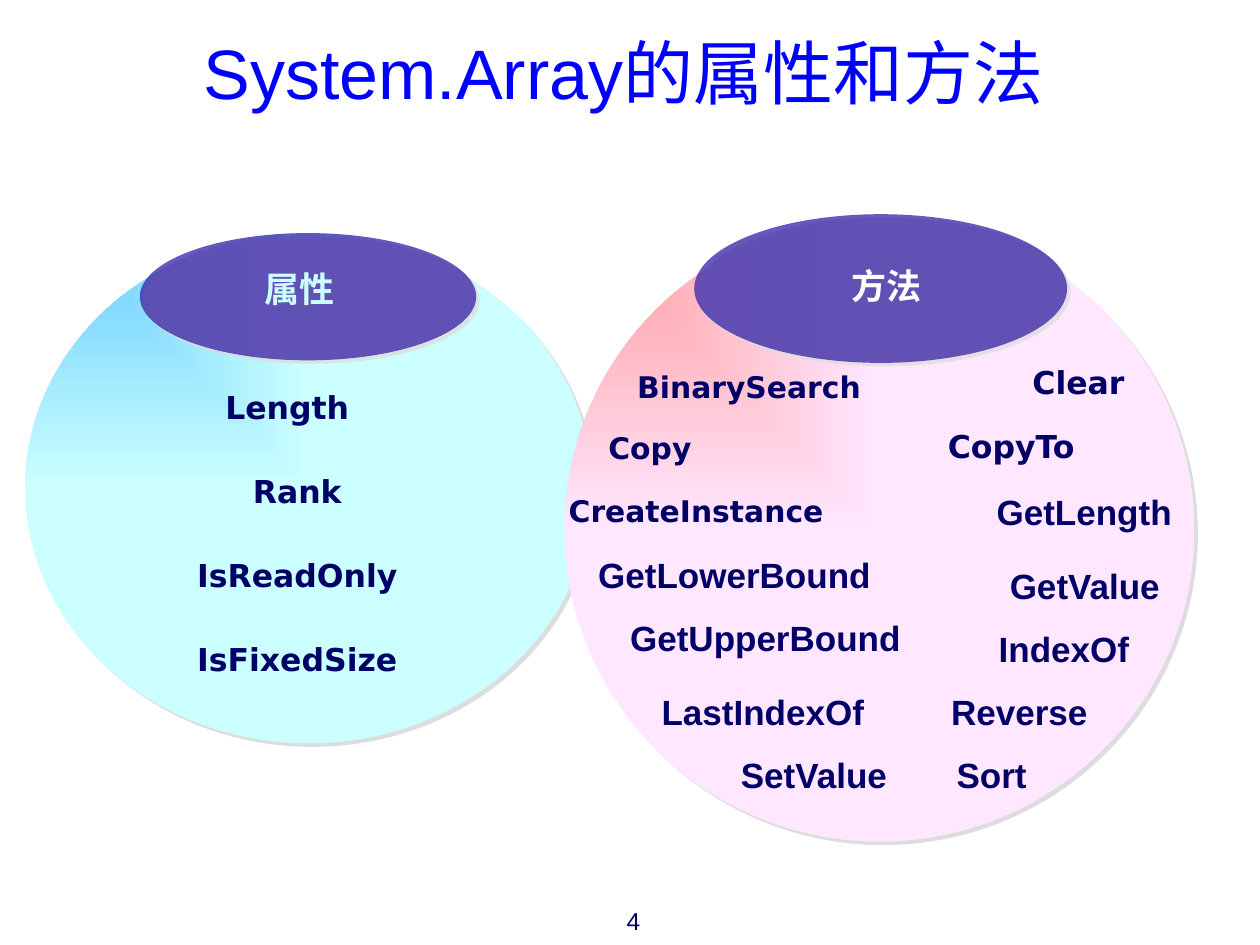
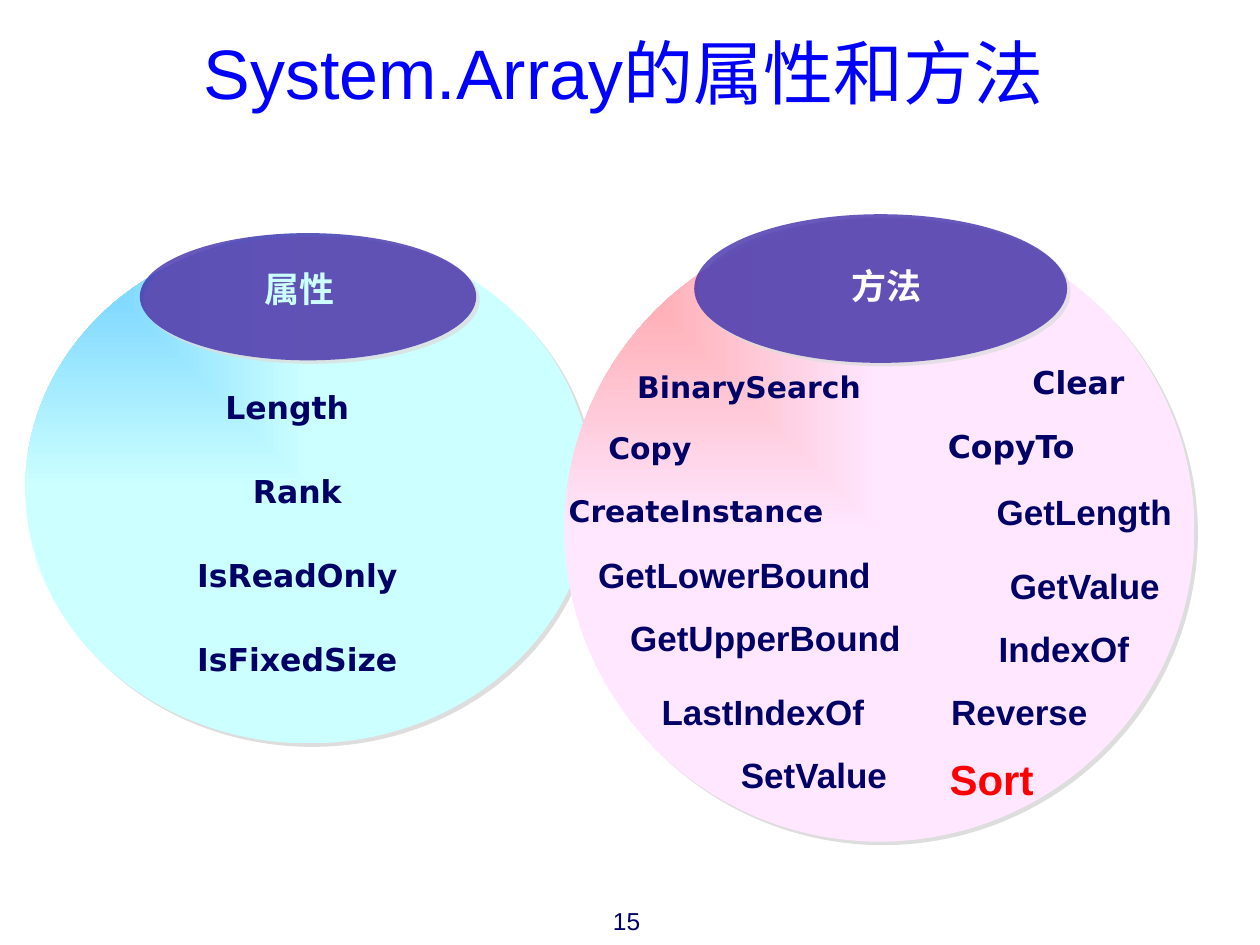
from dataclasses import dataclass
from typing import NamedTuple

from lxml.etree import SubElement
from pptx import Presentation
from pptx.dml.color import RGBColor
from pptx.enum.shapes import MSO_SHAPE as Shape
from pptx.enum.text import MSO_ANCHOR as Anchor, MSO_AUTO_SIZE as AutoSize, PP_ALIGN as Align
from pptx.oxml.ns import qn
from pptx.util import Inches, Pt


@dataclass(frozen=True)
class Theme:
    title: str = "0000FF"
    ink: str = "000066"
    highlight: str = "FF0000"
    white: str = "FFFFFF"
    aqua: str = "CCFFFF"
    sky: str = "66CCFF"
    pink: str = "FFE7FF"
    coral: str = "FF9999"
    cap: str = "3C26A8"
    shadow: str = "DDDDDD"
    cap_opacity: int = 77
    arial: str = "Arial"
    dejavu: str = "DejaVu Sans"
    title_size: int = 40
    highlight_size: int = 24
    large_size: int = 20
    item_size: int = 18
    small_size: int = 17
    number_size: int = 14


THEME = Theme()


class Box(NamedTuple):
    left: float
    top: float
    width: float
    height: float

    def lengths(self) -> list:
        return [Inches(value) for value in self]


class Group(NamedTuple):
    heading: str
    heading_color: str
    heading_box: Box
    circle: Box
    cap: Box
    corner_color: str
    body_color: str


class Member(NamedTuple):
    name: str
    box: Box
    size: int = THEME.item_size
    align: Align = Align.CENTER


class Page(NamedTuple):
    number: int
    sort_highlighted: bool


GROUPS = (
    Group("属性", THEME.aqua, Box(1.48, 2.18, 1.8, 0.33), Box(0.2, 1.85, 4.5, 4.05),
          Box(1.11, 1.85, 2.67, 1.01), THEME.sky, THEME.aqua),
    Group("方法", THEME.white, Box(5.69, 1.98, 2.7, 0.5), Box(4.48, 1.73, 5, 4.95),
          Box(5.51, 1.7, 2.96, 1.18), THEME.coral, THEME.pink),
)

# Properties step down evenly: three rows in two inches
PROPERTIES = [
    Member(name, Box(left, 2.93 + row * 2 / 3, 3, 0.5))
    for row, (name, left) in enumerate(
        [("Length", 0.78), ("Rank", 0.86), ("IsReadOnly", 0.86), ("IsFixedSize", 0.86)])
]

UPPER_METHODS = [
    Member("BinarySearch", Box(4.82, 2.51, 2.25, 0.75), THEME.small_size),
    Member("Clear", Box(7.56, 2.48, 2, 0.75)),
    Member("Copy", Box(4.73, 3.26, 2.59, 0.48), THEME.small_size, Align.LEFT),
    Member("CopyTo", Box(6.73, 3.26, 2.59, 0.48)),
    Member("CreateInstance", Box(4.23, 3.76, 2.59, 0.48), THEME.small_size),
]

# Room on each side of a tight label, so that its name stays on one line
SLACK = 0.02


def method_column(top: float, entries: list) -> list[Member]:
    """Stack methods half an inch apart; entries hold name, left and width."""
    return [Member(name, Box(left - SLACK, top + 0.5 * row, width + 2 * SLACK, 0.43),
                   THEME.large_size)
            for row, (name, left, width) in enumerate(entries)]


LOWER_METHODS = [
    *method_column(3.84, [("GetLength", 7.81, 1.59)]),
    *method_column(4.34, [("GetLowerBound", 4.65, 2.36), ("GetUpperBound", 4.9, 2.35)]),
    *method_column(4.43, [("GetValue", 7.91, 1.4), ("IndexOf", 7.83, 1.23),
                          ("Reverse", 7.45, 1.28)]),
    *method_column(5.43, [("LastIndexOf", 5.15, 1.81), ("SetValue", 5.77, 1.38)]),
]
SORT_BOX = Box(7.31, 5.93, 1.12, 0.5)

PAGES = (Page(4, False), Page(15, True))


def add_text(slide, text: str, box: Box, *, size: int, font: str = THEME.arial,
             color: str = THEME.ink, bold: bool = True, align: Align = Align.CENTER,
             anchor: Anchor = Anchor.TOP, wrap: bool = True, grow: bool = False) -> None:
    frame = slide.shapes.add_textbox(*box.lengths()).text_frame
    frame.word_wrap = wrap
    frame.auto_size = AutoSize.SHAPE_TO_FIT_TEXT if grow else AutoSize.NONE
    frame.vertical_anchor = anchor
    paragraph = frame.paragraphs[0]
    paragraph.alignment = align
    run = paragraph.add_run()
    run.text = text
    run.font.name = font
    run.font.size = Pt(size)
    run.font.bold = bold
    run.font.color.rgb = RGBColor.from_string(color)


def add_ellipse(slide, box: Box):
    """Add an unlined ellipse with the hard shadow that all ellipses share."""
    shape = slide.shapes.add_shape(Shape.OVAL, *box.lengths())
    shape.line.fill.background()
    shape.shadow.inherit = False
    effects = shape._element.spPr.find(qn("a:effectLst"))
    shadow = SubElement(effects, qn("a:outerShdw"), blurRad="0", dist=str(Pt(2.8)),
                        dir=str(45 * 60000), algn="ctr", rotWithShape="0")
    SubElement(shadow, qn("a:srgbClr"), val=THEME.shadow)
    return shape


def fill_from_corner(shape, corner_color: str, body_color: str) -> None:
    """Blend from the top left corner into the body colour."""
    shape.fill.gradient()
    for stop, color in zip(shape.fill.gradient_stops, (corner_color, body_color)):
        stop.color.rgb = RGBColor.from_string(color)
    gradient = shape._element.spPr.find(qn("a:gradFill"))
    gradient.remove(gradient.find(qn("a:lin")))
    spread = SubElement(gradient, qn("a:path"))
    spread.set("path", "rect")
    SubElement(spread, qn("a:fillToRect"), r="100000", b="100000")


def fill_translucent(shape, color: str, opacity: int) -> None:
    shape.fill.solid()
    shape.fill.fore_color.rgb = RGBColor.from_string(color)
    color_element = shape._element.spPr.find(qn("a:solidFill")).find(qn("a:srgbClr"))
    SubElement(color_element, qn("a:alpha"), val=str(opacity * 1000))


def add_group(slide, group: Group) -> None:
    fill_from_corner(add_ellipse(slide, group.circle), group.corner_color, group.body_color)
    fill_translucent(add_ellipse(slide, group.cap), THEME.cap, THEME.cap_opacity)
    add_text(slide, group.heading, group.heading_box, size=THEME.large_size,
             font=THEME.dejavu, color=group.heading_color, anchor=Anchor.BOTTOM)


def build_page(presentation, page: Page) -> None:
    slide = presentation.slides.add_slide(presentation.slide_layouts[6])

    # Page number and title
    add_text(slide, str(page.number), Box(4.45, 7.14, 0.73, 0.21),
             size=THEME.number_size, bold=False, align=Align.RIGHT)
    add_text(slide, "System.Array的属性和方法 ", Box(0.51, 0.13, 9, 0.87),
             size=THEME.title_size, color=THEME.title, bold=False, anchor=Anchor.MIDDLE)

    # Circles with their headings
    for group in GROUPS:
        add_group(slide, group)

    # Member names
    for member in PROPERTIES + UPPER_METHODS:
        add_text(slide, member.name, member.box, size=member.size, font=THEME.dejavu,
                 align=member.align, anchor=Anchor.BOTTOM)
    for member in LOWER_METHODS:
        add_text(slide, member.name, member.box, size=member.size, wrap=False, grow=True)

    # Sort stands out on the page that goes on to explain it
    lit = page.sort_highlighted
    add_text(slide, "Sort", SORT_BOX, wrap=lit, grow=True,
             size=THEME.highlight_size if lit else THEME.large_size,
             color=THEME.highlight if lit else THEME.ink)


def main() -> None:
    presentation = Presentation()
    presentation.slide_width = Inches(10)
    presentation.slide_height = Inches(7.5)
    for page in PAGES:
        build_page(presentation, page)
    presentation.save("out.pptx")


if __name__ == "__main__":
    main()
